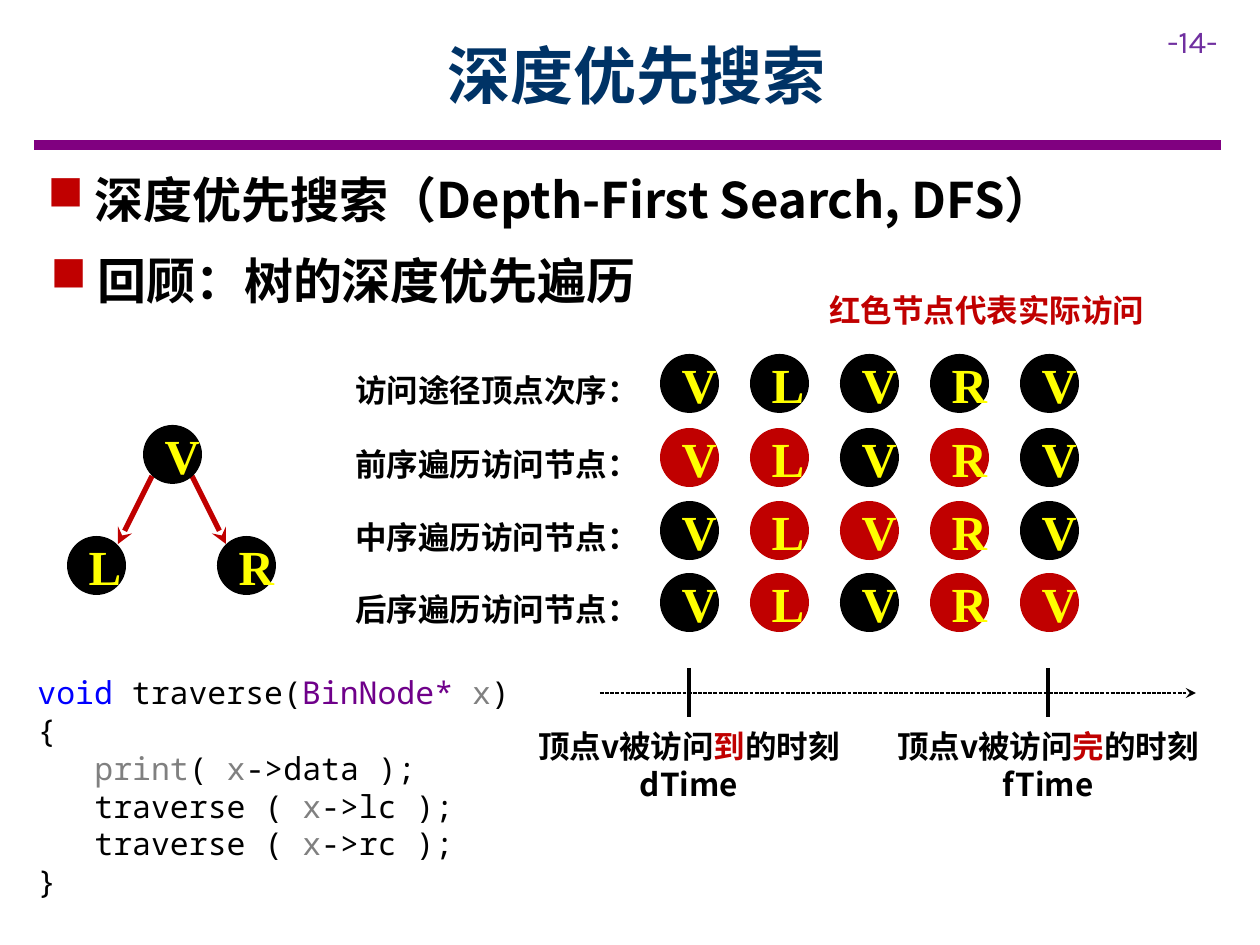
from lxml.etree import SubElement
from pptx import Presentation
from pptx.dml.color import RGBColor
from pptx.enum.dml import MSO_LINE
from pptx.enum.shapes import MSO_CONNECTOR, MSO_SHAPE
from pptx.enum.text import MSO_ANCHOR, PP_ALIGN
from pptx.oxml.ns import qn
from pptx.util import Emu, Pt

BLACK, RED, YELLOW, GREY = "000000", "C00000", "FFFF00", "808080"
CJK, MONO, SERIF = "Noto Sans CJK SC", "Noto Sans Mono", "Times New Roman"
NODE_SIZE = 59


def px(length):
    return Emu(round(length * 914400 / 126))


def color(hex_code):
    return RGBColor.from_string(hex_code)


class Deck:
    def __init__(self, width, height):
        self.presentation = Presentation()
        self.presentation.slide_width = px(width)
        self.presentation.slide_height = px(height)
        self.slide = self.presentation.slides.add_slide(self.presentation.slide_layouts[6])

    def style(self, run, size, font, ink, bold):
        run.font.size = Pt(size)
        run.font.bold = bold
        run.font.color.rgb = color(ink)
        run.font.name = font
        SubElement(run.font._element, qn("a:ea"), typeface=font)

    def text(self, left, top, width, height, paragraphs, size=18, font=CJK, ink=BLACK,
             bold=True, align=PP_ALIGN.LEFT, anchor=MSO_ANCHOR.TOP, wrap=True):
        frame = self.slide.shapes.add_textbox(px(left), px(top), px(width), px(height)).text_frame
        frame.word_wrap = wrap
        frame.vertical_anchor = anchor
        for index, pieces in enumerate(paragraphs):
            paragraph = frame.paragraphs[0] if index == 0 else frame.add_paragraph()
            paragraph.alignment = align
            for words, piece_ink in pieces:
                run = paragraph.add_run()
                run.text = words
                self.style(run, size, font, piece_ink or ink, bold)
        return frame

    def label(self, left, top, width, height, words, **options):
        return self.text(left, top, width, height, [[(words, None)]], **options)

    def bullet(self, left, top, width, words):
        paragraph = self.label(left, top, width, 72, words, size=28).paragraphs[0]
        paragraph.space_after = Pt(6)
        properties = paragraph._p.get_or_add_pPr()
        properties.set("marL", str(px(47)))
        properties.set("indent", str(-px(47)))
        SubElement(SubElement(properties, qn("a:buClr")), qn("a:srgbClr"), val=RED)
        SubElement(properties, qn("a:buChar"), char="■")

    def code(self, left, top, width, height, lines):
        frame = self.text(left, top, width, height, [pieces for _, pieces in lines],
                          font=MONO, bold=False)
        for paragraph, (indent, _) in zip(frame.paragraphs, lines):
            paragraph._p.get_or_add_pPr().set("marL", str(px(indent)))

    def node(self, left, top, letter, fill=BLACK):
        circle = self.slide.shapes.add_shape(
            MSO_SHAPE.OVAL, px(left), px(top), px(NODE_SIZE), px(NODE_SIZE))
        circle.shadow.inherit = False
        circle.fill.solid()
        circle.fill.fore_color.rgb = color(fill)
        circle.line.fill.background()
        frame = circle.text_frame
        frame.word_wrap = True
        frame.vertical_anchor = MSO_ANCHOR.MIDDLE
        frame.margin_left = frame.margin_right = px(13)
        frame.margin_top = frame.margin_bottom = px(13)
        frame.text = letter
        frame.paragraphs[0].alignment = PP_ALIGN.CENTER
        self.style(frame.paragraphs[0].runs[0], 28, SERIF, YELLOW, True)

    def line(self, x1, y1, x2, y2, ink, width, arrow=False, dash=None):
        connector = self.slide.shapes.add_connector(
            MSO_CONNECTOR.STRAIGHT, px(x1), px(y1), px(x2), px(y2))
        connector.line.color.rgb = color(ink)
        connector.line.width = Pt(width)
        if dash:
            connector.line.dash_style = dash
        if arrow:
            SubElement(connector.line._get_or_add_ln(), qn("a:tailEnd"), type="stealth")
        SubElement(connector._element.spPr, qn("a:effectLst"))


def main():
    deck = Deck(1260, 945)

    deck.line(34, 145, 1221, 145, "800080", 6)
    deck.label(1155, 16, 105, 50, "-14-", font="Karla", ink="7030A0", bold=False)
    deck.label(113, 11, 1047, 126, "深度优先搜索", size=36, ink="003366",
               align=PP_ALIGN.CENTER, anchor=MSO_ANCHOR.MIDDLE)
    deck.bullet(35, 163, 1193, "深度优先搜索（Depth-First Search, DFS）")
    deck.bullet(38, 244, 741, "回顾：树的深度优先遍历")

    for start, end in ((152, 118), (192, 226)):
        deck.line(start, 476, end, 544, RED, 3, arrow=True)
    for left, top, letter in ((67, 536, "L"), (143, 425, "V"), (217, 536, "R")):
        deck.node(left, top, letter)

    orders = (
        (354, "访问途径顶点次序：", ()),
        (428, "前序遍历访问节点：", (0, 1, 3)),
        (501, "中序遍历访问节点：", (1, 2, 3)),
        (573, "后序遍历访问节点：", (1, 3, 4)),
    )
    for top, caption, visited in orders:
        deck.label(343, top + 11, 311, 50, caption, wrap=False)
        for step, letter in enumerate("VLVRV"):
            deck.node(660 + 90 * step, top, letter, RED if step in visited else BLACK)
    deck.label(817, 285, 344, 50, "红色节点代表实际访问", ink=RED, wrap=False)

    deck.line(600, 693, 1196, 693, BLACK, 0.75, arrow=True, dash=MSO_LINE.SQUARE_DOT)
    for center, moment, name in ((689, "到", "dTime"), (1048, "完", "fTime")):
        deck.line(center, 668, center, 717, BLACK, 2)
        deck.text(center - 165, 721, 330, 89,
                  [[("顶点v被访问", None), (moment, RED), ("的时刻", None)], [(name, None)]],
                  align=PP_ALIGN.CENTER)

    argument = ("x", GREY)
    deck.code(25, 667, 501, 242, [
        (0, [("void", "0000FF"), (" traverse(", None), ("BinNode*", "6F008A"),
             (" ", None), argument, (")", None)]),
        (0, [("{", None)]),
        (57, [("print", GREY), ("( ", None), argument, ("->data );", None)]),
        (57, [("traverse ( ", None), argument, ("->lc );", None)]),
        (57, [("traverse ( ", None), argument, ("->rc );", None)]),
        (0, [("}", None)]),
    ])

    deck.presentation.save("out.pptx")


if __name__ == "__main__":
    main()
